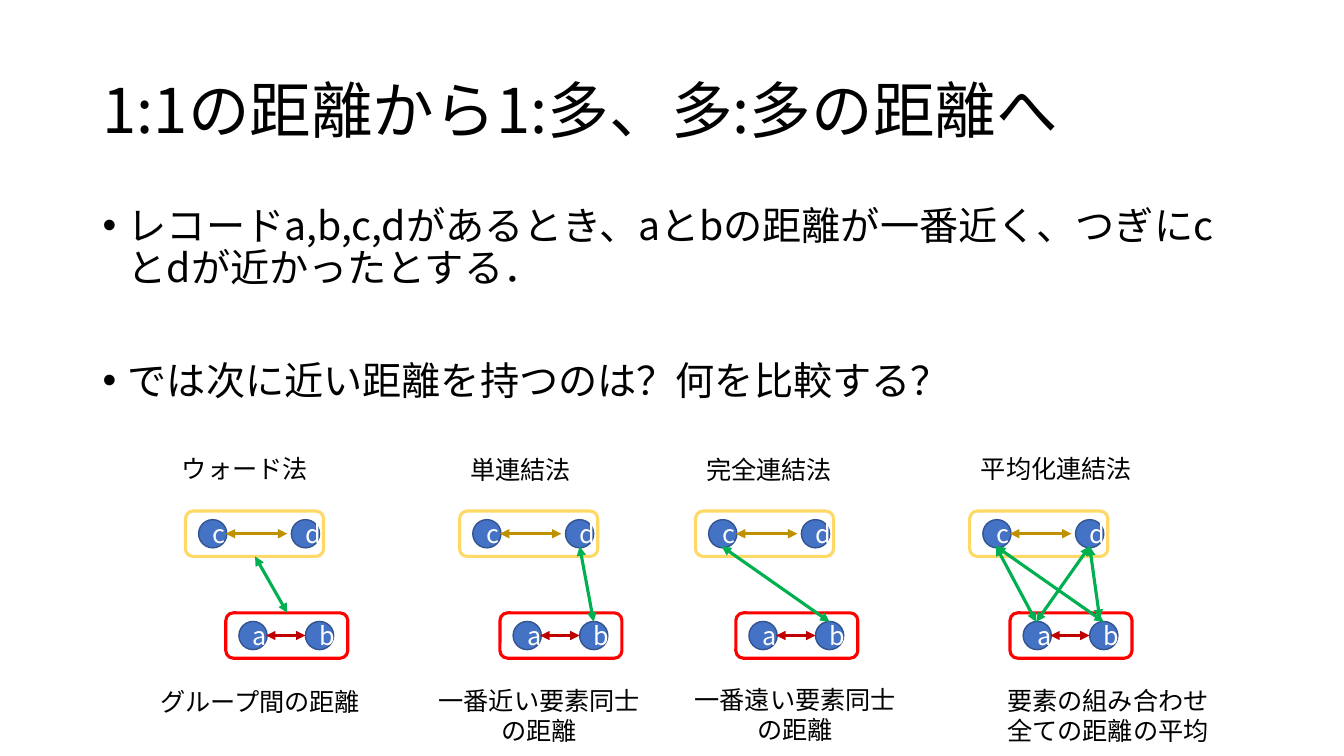
from dataclasses import dataclass
from lxml.etree import SubElement
from pptx import Presentation
from pptx.dml.color import RGBColor
from pptx.enum.shapes import MSO_CONNECTOR as Connector, MSO_SHAPE as Shape
from pptx.enum.text import MSO_ANCHOR as Anchor, MSO_AUTO_SIZE as AutoSize, PP_ALIGN as Align
from pptx.oxml.ns import qn
from pptx.util import Inches, Pt

FONT = "Noto Sans CJK JP"
COLOURS = {
    "text": "000000", "letter": "FFFFFF", "record": "4472C4", "record edge": "325491",
    "ab group": "FF0000", "ab distance": "C00000",
    "cd group": "FFD966", "cd distance": "BF9000", "link": "00B050",
}
CELL = Inches(0.1)
COLUMNS, ROWS = 133.33, 75
DIAMETER = 2.8
GROUP_HEIGHT = 4.5

Point = tuple[float, float]


@dataclass(frozen=True)
class Area:
    left: float
    top: float
    width: float
    height: float

    def lengths(self) -> list[int]:
        return [cells(value) for value in (self.left, self.top, self.width, self.height)]


@dataclass(frozen=True)
class Pair:
    name: str
    left: float
    top: float
    width: float
    records: dict[str, float]
    arrow: tuple[float, float]


@dataclass(frozen=True)
class Method:
    left: float
    title: Area
    name: str
    caption: Area
    lines: tuple[str, ...]
    links: tuple[tuple[str, str], ...]


PAIRS = (
    Pair("ab", 4, 60.8, 12.1, {"a": 5.3, "b": 11.9}, (8, 11.9)),
    Pair("cd", 0, 50.7, 13.7, {"c": 1.3, "d": 10.5}, (4, 10.1)),
)
ANCHORS: dict[str, Point] = {
    "a": (6.6, 61.7), "b": (13.3, 61.7), "b left": (12.9, 61.4),
    "c": (2.6, 54.2), "d": (11.9, 54.2), "ab": (10.1, 60.8), "cd": (6.9, 55.2),
}
METHODS = (
    Method(18.4, Area(17, 44.5, 14.6, 4), "ウォード法",
           Area(14.7, 67.6, 22.2, 4), ("グループ間の距離",), (("ab", "cd"),)),
    Method(45.6, Area(45.6, 44.6, 12.1, 4), "単連結法",
           Area(42.4, 67.5, 22.2, 7.1), ("一番近い要素同士", "の距離"), (("b", "d"),)),
    Method(69, Area(69, 44.6, 14.6, 4), "完全連結法",
           Area(67.8, 67.4, 22.2, 7.1), ("一番遠い要素同士", "の距離"), (("b", "c"),)),
    Method(96.2, Area(96.2, 44.5, 17.2, 4), "平均化連結法",
           Area(98.8, 67.5, 22.2, 7.1), ("要素の組み合わせ", "全ての距離の平均"),
           (("b", "c"), ("b left", "d"), ("a", "d"), ("a", "c"))),
)


def cells(count: float) -> int:
    return round(count * CELL)


def colour(name: str) -> RGBColor:
    return RGBColor.from_string(COLOURS[name])


def write(frame, lines: tuple[str, ...], size: float, ink: str, align: Align) -> None:
    for index, line in enumerate(lines):
        para = frame.add_paragraph() if index else frame.paragraphs[0]
        para.add_run().text = line
        para.alignment = align
        para.font.size = Pt(size)
        para.font.name = FONT
        para.font.color.rgb = colour(ink)
        SubElement(para.font._element, qn("a:ea"), typeface=FONT)


def add_text(area: Area, lines: tuple[str, ...], size: float, align: Align, wrap: bool):
    frame = page.shapes.add_textbox(*area.lengths()).text_frame
    frame.word_wrap = wrap
    frame.auto_size = AutoSize.NONE if wrap else AutoSize.SHAPE_TO_FIT_TEXT
    write(frame, lines, size, "text", align)
    if wrap:
        for para in frame.paragraphs:
            para.line_spacing = 0.9
    return frame


def add_bullet(para, space_before: float) -> None:
    para.space_before = Pt(space_before)
    properties = para._p.get_or_add_pPr()
    properties.set("marL", str(Inches(0.25)))
    properties.set("indent", str(-Inches(0.25)))
    bullet_font = properties.makeelement(qn("a:buFont"), {"typeface": "Arial"})
    bullet = properties.makeelement(qn("a:buChar"), {"char": "•"})
    defaults = properties.find(qn("a:defRPr"))
    defaults.addprevious(bullet_font)
    defaults.addprevious(bullet)


def add_record(letter: str, left: float, top: float) -> None:
    circle = page.shapes.add_shape(Shape.OVAL, *Area(left, top, DIAMETER, DIAMETER).lengths())
    circle.shadow.inherit = False
    circle.fill.solid()
    circle.fill.fore_color.rgb = colour("record")
    circle.line.color.rgb = colour("record edge")
    circle.line.width = Pt(1)
    circle.text_frame.vertical_anchor = Anchor.MIDDLE
    write(circle.text_frame, (letter,), 18, "letter", Align.CENTER)


def add_arrow(start: Point, end: Point, ink: str) -> None:
    arrow = page.shapes.add_connector(
        Connector.STRAIGHT, *(cells(value) for value in (*start, *end)))
    arrow.line.color.rgb = colour(ink)
    arrow.line.width = Pt(2.25)
    line = arrow.line._get_or_add_ln()
    for tag in ("a:headEnd", "a:tailEnd"):
        SubElement(line, qn(tag), type="triangle")
    SubElement(arrow._element.spPr, qn("a:effectLst"))


def add_pair(pair: Pair, left: float) -> None:
    for letter, offset in pair.records.items():
        add_record(letter, left + offset, pair.top + 0.85)
    area = Area(left + pair.left, pair.top, pair.width, GROUP_HEIGHT)
    outline = page.shapes.add_shape(Shape.ROUNDED_RECTANGLE, *area.lengths())
    outline.shadow.inherit = False
    outline.fill.background()
    outline.line.color.rgb = colour(f"{pair.name} group")
    outline.line.width = Pt(2.25)
    middle = pair.top + GROUP_HEIGHT / 2
    start, end = pair.arrow
    add_arrow((left + start, middle), (left + end, middle), f"{pair.name} distance")


def add_method(method: Method) -> None:
    for pair in PAIRS:
        add_pair(pair, method.left)
    for link in method.links:
        start, end = ((method.left + ANCHORS[name][0], ANCHORS[name][1]) for name in link)
        add_arrow(start, end, "link")
    add_text(method.title, (method.name,), 18, Align.CENTER, False)
    add_text(method.caption, method.lines, 18, Align.CENTER, False)


deck = Presentation()
deck.slide_width, deck.slide_height = cells(COLUMNS), cells(ROWS)
page = deck.slides.add_slide(deck.slide_layouts[6])

heading = add_text(Area(9.2, 4, 115, 14.5), ("1:1の距離から1:多、多:多の距離へ",), 44, Align.LEFT, True)
heading.vertical_anchor = Anchor.MIDDLE
body = add_text(Area(9.2, 20, 115, 24), (
    "レコードa,b,c,dがあるとき、aとbの距離が一番近く、つぎにcとdが近かったとする．",
    "では次に近い距離を持つのは？何を比較する？",
), 28, Align.LEFT, True)
for para, gap in zip(body.paragraphs, (10, 50)):
    add_bullet(para, gap)

for method in METHODS:
    add_method(method)

deck.save("out.pptx")
